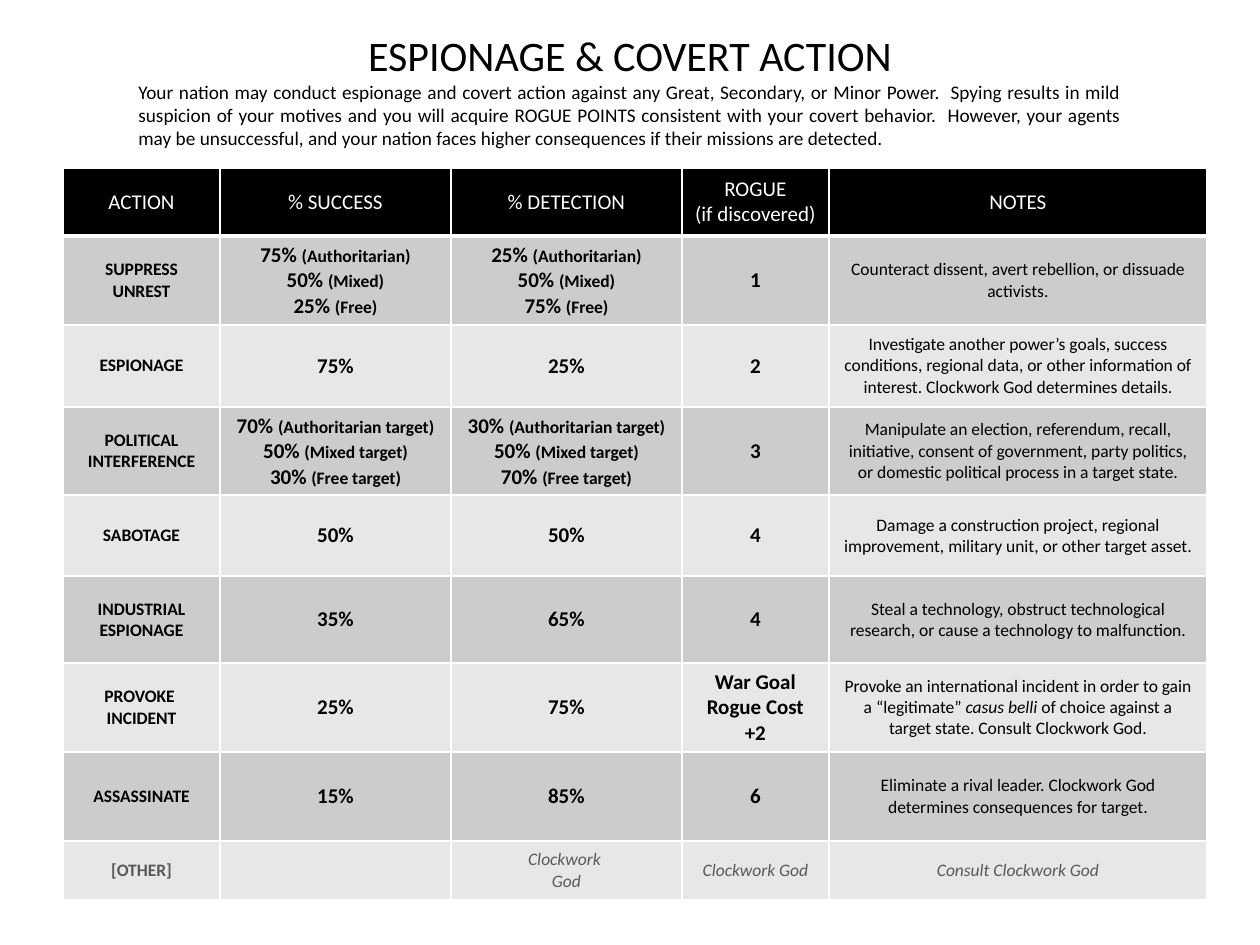
"""Build a one-slide table of espionage and covert actions."""
import pptx
import pptx.dml.color
import pptx.enum.text
import pptx.oxml
import pptx.oxml.ns
import pptx.util

TITLE = "ESPIONAGE & COVERT ACTION"
INTRO = (
    "Your nation may conduct espionage and covert action against any Great, "
    "Secondary, or Minor Power.  Spying results in mild suspicion of your motives "
    "and you will acquire ROGUE POINTS consistent with your covert behavior.  "
    "However, your agents may be unsuccessful, and your nation faces higher "
    "consequences if their missions are detected."
)
HEAD = ["ACTION", "% SUCCESS", "% DETECTION", "ROGUE\n(if discovered)", "NOTES"]
ROWS = [
    ["SUPPRESS\nUNREST",
     "75% |(Authoritarian)\n50% |(Mixed)\n25% |(Free)",
     "25% |(Authoritarian)\n50% |(Mixed)\n75% |(Free)", "1",
     "Counteract dissent, avert rebellion, or dissuade activists."],
    ["ESPIONAGE", "75%", "25%", "2",
     "Investigate another power’s goals, success conditions, regional data, or "
     "other information of interest. Clockwork God determines details."],
    ["POLITICAL\nINTERFERENCE",
     "70% |(Authoritarian target)\n50% |(Mixed target)\n30% |(Free target)",
     "30% |(Authoritarian target)\n50% |(Mixed target)\n70% |(Free target)", "3",
     "Manipulate an election, referendum, recall, initiative, consent of government, "
     "party politics, or domestic political process in a target state."],
    ["SABOTAGE", "50%", "50%", "4",
     "Damage a construction project, regional improvement, military unit, or other "
     "target asset."],
    ["INDUSTRIAL ESPIONAGE", "35%", "65%", "4",
     "Steal a technology, obstruct technological research, or cause a technology to "
     "malfunction."],
    ["PROVOKE \nINCIDENT", "25%", "75%", "War Goal Rogue Cost +2",
     "Provoke an international incident in order to gain a “legitimate” |casus belli |"
     "of choice against a target state. Consult Clockwork God."],
    ["ASSASSINATE", "15%", "85%", "6",
     "Eliminate a rival leader. Clockwork God determines consequences for target."],
    ["[OTHER]", "", "Clockwork \nGod", "Clockwork God", "Consult Clockwork God"],
]
WIDE = [157, 231, 231, 147, 378]
HIGH = [68, 89, 82, 87, 81, 87, 89, 89, 59]
BOXES = {"title": (126, 23, 1008, 63), "intro": (126, 74, 1008, 83)}
CORNER = (63, 168)
THEME = {
    "font": "Calibri", "ink": "000000", "paper": "FFFFFF", "dim": "595959",
    "bands": ["CCCCCC", "E7E7E7"],
    "title": 24, "intro": 11, "large": 12, "small": 10, "line": 1, "rule": 3,
}
ALIGN = pptx.enum.text.PP_ALIGN


def px(n):
    return pptx.util.Emu(n * 914400 // 126)


def rgb(name):
    return pptx.dml.color.RGBColor.from_string(name)


def style(run, size, ink, bold=False, slant=False):
    font = run.font
    font.name = THEME["font"]
    font.size = pptx.util.Pt(size)
    font.bold = bold
    font.italic = slant
    font.color.rgb = rgb(ink)


def add_box(slide, kind, text, align):
    frame = slide.shapes.add_textbox(*map(px, BOXES[kind])).text_frame
    frame.word_wrap = True
    frame.auto_size = pptx.enum.text.MSO_AUTO_SIZE.SHAPE_TO_FIT_TEXT
    frame.text = text
    para = frame.paragraphs[0]
    para.alignment = align
    style(para.runs[0], THEME[kind], THEME["ink"])


def edge(cell, row):
    props = cell._tc.get_or_add_tcPr()
    space = pptx.oxml.ns.nsdecls("a")
    for side in "LRTB":
        thick = (row, side) in [(0, "B"), (1, "T")]
        width = pptx.util.Pt(THEME["rule" if thick else "line"])
        props.append(pptx.oxml.parse_xml(
            f'<a:ln{side} {space} w="{width}"><a:solidFill>'
            f'<a:srgbClr val="{THEME["paper"]}"/></a:solidFill></a:ln{side}>'))


def look(row, col, part):
    if row == 0:
        return THEME["large"], THEME["paper"]
    if row == len(ROWS):
        return THEME["small"], THEME["dim"], col == 0, col > 0
    if col == 4:
        return THEME["small"], THEME["ink"], False, part == 1
    size = "small" if col == 0 or part else "large"
    return THEME[size], THEME["ink"], True


def fill_cell(cell, row, col, text):
    edge(cell, row)
    cell.fill.solid()
    cell.fill.fore_color.rgb = rgb(THEME["bands"][(row - 1) % 2] if row else THEME["ink"])
    cell.vertical_anchor = pptx.enum.text.MSO_ANCHOR.MIDDLE
    frame = cell.text_frame
    frame.text = text.replace("|", "")
    for para, line in zip(frame.paragraphs, text.split("\n")):
        para.alignment = ALIGN.CENTER
        parts = line.split("|") if line else []
        para.text = parts[0] if parts else ""
        for part in parts[1:]:
            para.add_run().text = part
        for part, run in enumerate(para.runs):
            style(run, *look(row, col, part))


def add_grid(slide):
    size = (sum(WIDE), sum(HIGH))
    grid = slide.shapes.add_table(len(HIGH), len(WIDE), *map(px, CORNER + size)).table
    for col, width in zip(grid.columns, WIDE):
        col.width = px(width)
    for row, height in zip(grid.rows, HIGH):
        row.height = px(height)
    for r, texts in enumerate([HEAD] + ROWS):
        for c, text in enumerate(texts):
            fill_cell(grid.cell(r, c), r, c, text)


def main():
    deck = pptx.Presentation()
    deck.slide_width, deck.slide_height = px(1260), px(945)
    slide = deck.slides.add_slide(deck.slide_layouts[6])
    add_box(slide, "title", TITLE, ALIGN.CENTER)
    add_grid(slide)
    add_box(slide, "intro", INTRO, ALIGN.JUSTIFY)
    deck.save("out.pptx")


if __name__ == "__main__":
    main()
